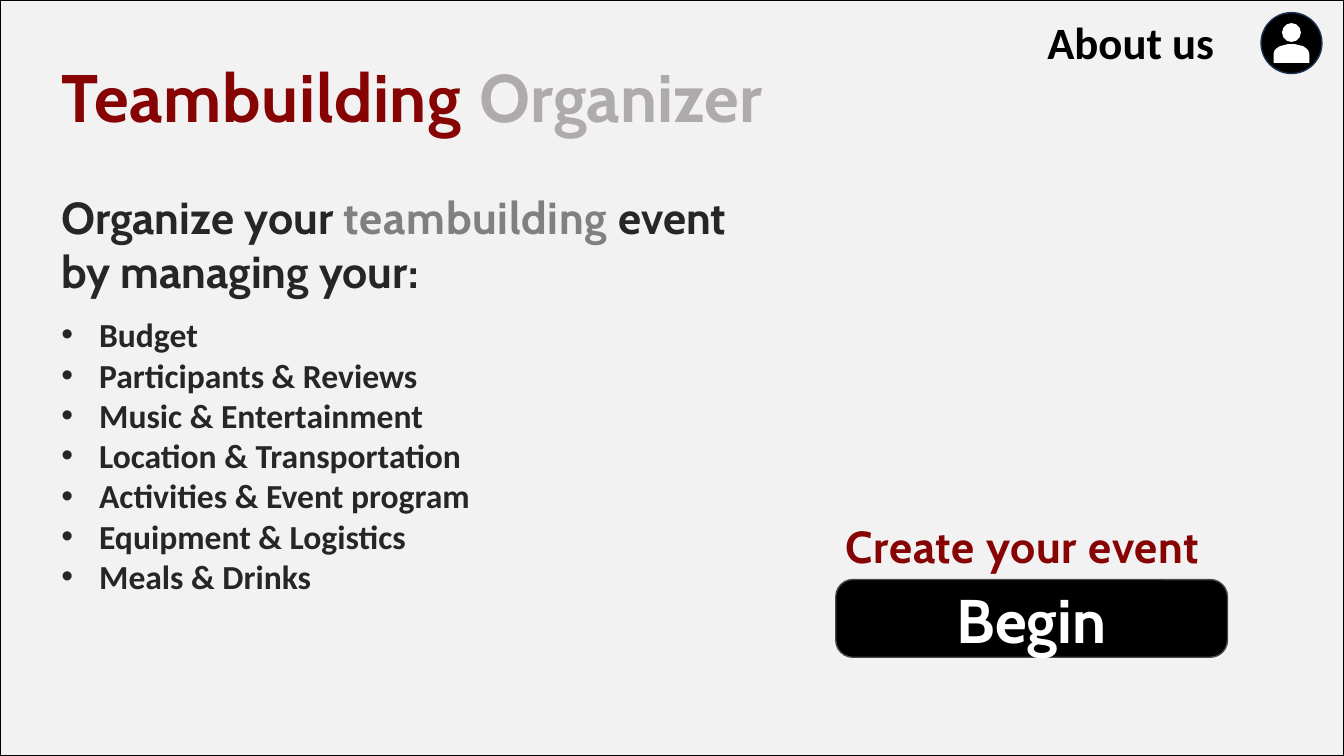
from pptx import Presentation
from pptx.dml.color import RGBColor
from pptx.enum.shapes import MSO_SHAPE
from pptx.enum.text import MSO_ANCHOR, PP_ALIGN
from pptx.oxml.ns import qn
from pptx.util import Emu, Pt
from lxml import etree

RECT = MSO_SHAPE.RECTANGLE
ROUNDED = MSO_SHAPE.ROUNDED_RECTANGLE
OVAL = MSO_SHAPE.OVAL
CONNECTOR = MSO_SHAPE.FLOWCHART_CONNECTOR
TOP, MIDDLE = MSO_ANCHOR.TOP, MSO_ANCHOR.MIDDLE
LEFT, CENTER = PP_ALIGN.LEFT, PP_ALIGN.CENTER

PX = 9525
WIDTH, HEIGHT = 1280, 720
MARGIN = 49
PANEL, BLACK, WHITE = "F2F2F2", "000000", "FFFFFF"
RED, DARK, GRAY, SILVER = "860404", "262626", "808080", "AFABAB"
HEADING, BODY = "Cabin", "Calibri"

TOPICS = [
    "Budget",
    "Participants & Reviews",
    "Music & Entertainment",
    "Location & Transportation",
    "Activities & Event program",
    "Equipment & Logistics",
    "Meals & Drinks",
]


def rgb(color):
    return RGBColor.from_string(color)


def px(value):
    return Emu(value * PX)


class Page:
    def __init__(self, prs):
        self.s = prs.slides.add_slide(prs.slide_layouts[6])

    def paint(self, sp, fill, line=None):
        sp.shadow.inherit = False
        sp.fill.solid()
        sp.fill.fore_color.rgb = rgb(fill)
        if line:
            sp.line.color.rgb = rgb(line)
            sp.line.width = Pt(1)
        else:
            sp.line.fill.background()
        return sp

    def shape(self, kind, box, fill, line=None):
        sp = self.s.shapes.add_shape(kind, *map(px, box))
        return self.paint(sp, fill, line)

    def outline(self, points, fill):
        builder = self.s.shapes.build_freeform(*points[0], scale=PX)
        builder.add_line_segments(points[1:], close=True)
        return self.paint(builder.convert_to_shape(), fill)

    def textbox(self, box):
        return self.s.shapes.add_textbox(*map(px, box))

    def frame(self, sp, anchor=TOP):
        tf = sp.text_frame
        tf.word_wrap = True
        tf.vertical_anchor = anchor
        return tf

    def add_runs(self, p, runs, font=HEADING, align=LEFT):
        p.alignment = align
        for text, size, color, spacing in runs:
            r = p.add_run()
            r.text = text
            r.font.name = font
            r.font.size = Pt(size)
            r.font.bold = True
            r.font.color.rgb = rgb(color)
            if spacing:
                r._r.get_or_add_rPr().set("spc", str(spacing))

    def bullet(self, p, text, indent=36):
        self.add_runs(p, [(text, 24, DARK, 0)], BODY)
        pPr = p._p.get_or_add_pPr()
        pPr.set("marL", str(px(indent)))
        pPr.set("indent", str(-px(indent)))
        etree.SubElement(pPr, qn("a:buFont")).set("typeface", "Arial")
        etree.SubElement(pPr, qn("a:buChar")).set("char", "•")


def add_header(page):
    tf = page.frame(page.textbox((MARGIN, 39, 732, 97)), MIDDLE)
    page.add_runs(tf.paragraphs[0], [
        ("Teambuilding", 48, RED, 50),
        (" ", 54, BLACK, 0),
        ("Organizer", 48, SILVER, 0),
    ])
    tf = page.frame(page.textbox((988, 9, 182, 61)))
    page.add_runs(tf.paragraphs[0], [("About us", 32, BLACK, 0)], BODY)


def add_account_icon(page):
    page.shape(CONNECTOR, (1201, 12, 58, 58), BLACK, "1E3256")
    page.shape(OVAL, (1221, 22, 18, 18), WHITE)
    center, top = 1230, 42
    half = [(17, 18), (17, 9), (16, 6), (14, 4), (11, 2), (7, 1), (3, 0)]
    left = [(center - x, top + y) for x, y in half]
    right = [(center + x, top + y) for x, y in reversed(half)]
    page.outline(left + right, WHITE)


def add_topics(page):
    tf = page.frame(page.shape(RECT, (MARGIN, 176, 671, 419), PANEL))
    page.add_runs(tf.paragraphs[0], [
        ("Organize your ", 32, DARK, 0),
        ("teambuilding", 32, GRAY, 50),
        (" event", 32, DARK, 0),
        (" ", 28, DARK, 0),
        ("by managing your:", 32, DARK, 0),
    ])
    for topic in TOPICS:
        page.bullet(tf.add_paragraph(), topic)
    tf.paragraphs[1].space_before = Pt(12)


def add_begin(page):
    left, top, width = 796, 552, 373
    tf = page.frame(page.shape(RECT, (left, top - 63, width, 63), PANEL))
    page.add_runs(tf.paragraphs[0], [("Create your event", 32, RED, 50)])
    button = page.shape(ROUNDED, (left, top, width, 74), BLACK, "484848")
    button.adjustments[0] = 0.22
    tf = page.frame(button, MIDDLE)
    page.add_runs(tf.paragraphs[0], [("Begin", 44, WHITE, 0)], align=CENTER)


def main():
    prs = Presentation()
    prs.slide_width, prs.slide_height = px(WIDTH), px(HEIGHT)
    page = Page(prs)
    page.shape(RECT, (0, 0, WIDTH, HEIGHT), PANEL, BLACK)
    add_header(page)
    add_account_icon(page)
    add_topics(page)
    add_begin(page)
    prs.save("out.pptx")


if __name__ == "__main__":
    main()
